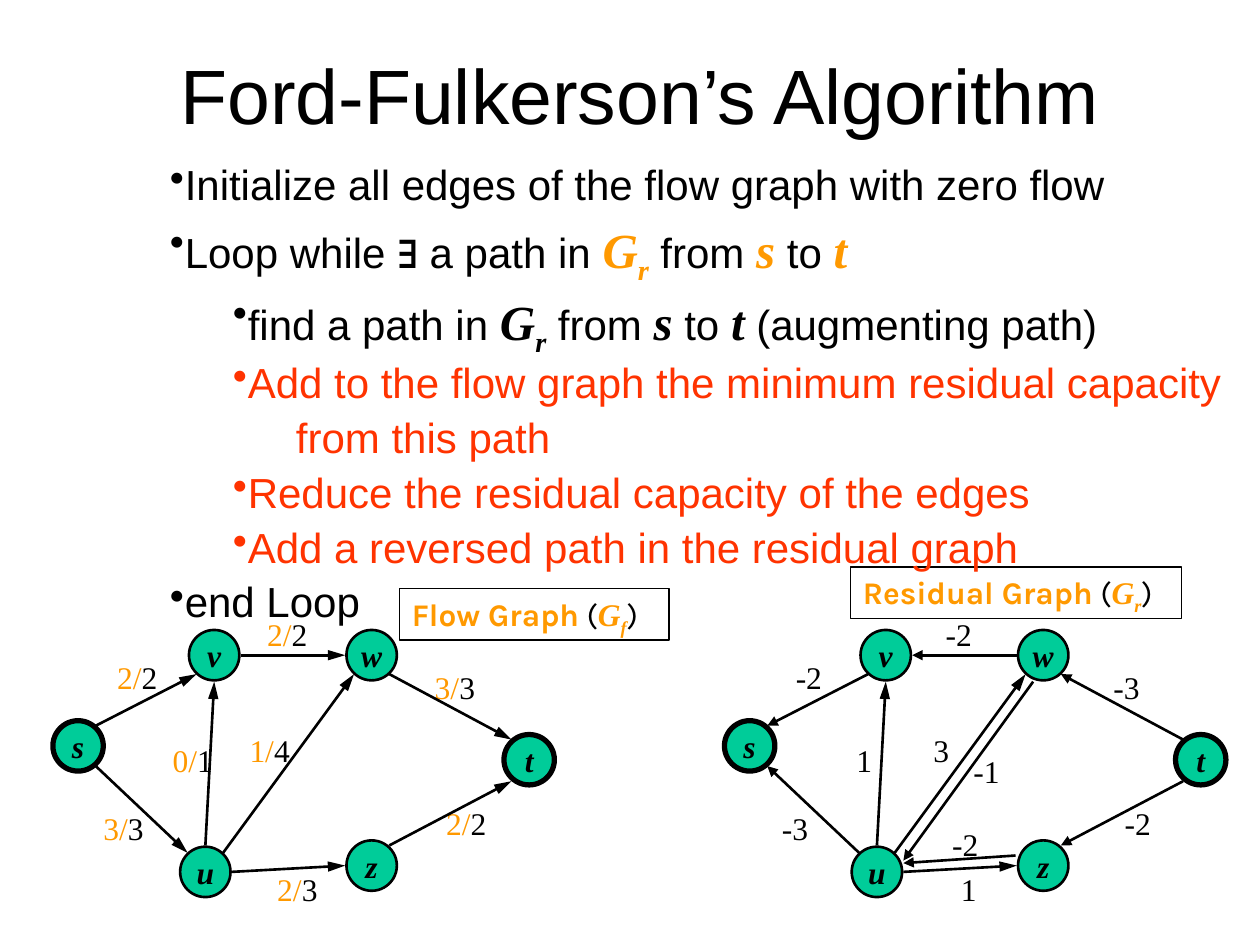
from dataclasses import dataclass, replace
from typing import NamedTuple

from lxml import etree
from pptx import Presentation
from pptx.dml.color import RGBColor
from pptx.enum.shapes import MSO_CONNECTOR, MSO_SHAPE
from pptx.enum.text import MSO_ANCHOR, PP_ALIGN
from pptx.oxml.ns import qn
from pptx.util import Inches, Pt


@dataclass(frozen=True)
class Theme:
    black: str = "000000"
    orange: str = "FF9900"
    red: str = "FF3300"
    node_fill: str = "00CC99"
    sans: str = "Arial"
    serif: str = "Times New Roman"
    caption: str = "Karla"
    title_size: int = 44
    body_size: int = 24
    symbol_size: int = 28
    graph_size: int = 18


THEME = Theme()


@dataclass(frozen=True)
class Style:
    font: str
    size: int
    color: str = THEME.black
    bold: bool = False
    italic: bool = False
    subscript: bool = False


class Piece(NamedTuple):
    text: str
    style: Style


class Line(NamedTuple):
    pieces: list[Piece]
    level: int = 0
    bullet: bool = True
    space: float = 5.5


class Node(NamedTuple):
    name: str
    x: float
    y: float
    terminal: bool = False


class Edge(NamedTuple):
    start: tuple[float, float]
    end: tuple[float, float]
    label_center: float
    label_top: float
    flow: str
    capacity: str
    residual: str
    reversed_residual: bool


TITLE = Style(THEME.sans, THEME.title_size)
BODY = Style(THEME.sans, THEME.body_size)
STEP = replace(BODY, color=THEME.red)
SYMBOL = Style(THEME.serif, THEME.symbol_size, bold=True, italic=True)
MARKED = replace(SYMBOL, color=THEME.orange)
LABEL = Style(THEME.serif, THEME.graph_size)
FLOW = replace(LABEL, color=THEME.orange)
NODE = replace(LABEL, bold=True, italic=True)
CAPTION = Style(THEME.caption, THEME.graph_size)
CAPTION_NAME = replace(CAPTION, color=THEME.orange, bold=True)
CAPTION_SYMBOL = replace(NODE, color=THEME.orange)

NODE_SIZE = 0.4
LABEL_WIDTHS = {1: 0.33, 2: 0.41, 3: 0.52}
RESIDUAL_OFFSET = 5.33

NODES = [
    Node("w", 2.75, 5), Node("s", 0.42, 5.72, True), Node("v", 1.5, 5),
    Node("u", 1.43, 6.72), Node("t", 4, 5.83, True), Node("z", 2.75, 6.67),
]

EDGES = [
    Edge((0.76, 5.76), (1.56, 5.35), 1.09, 5.17, "2", "2", "-2", True),
    Edge((0.76, 6.08), (1.49, 6.77), 0.98, 6.37, "3", "3", "-3", True),
    Edge((1.91, 5.2), (2.74, 5.2), 2.28, 4.83, "2", "2", "-2", True),
    Edge((3.09, 5.35), (4.06, 5.87), 3.61, 5.25, "3", "3", "-3", True),
    Edge((3.09, 6.71), (4.06, 6.2), 3.7, 6.33, "2", "2", "-2", True),
    Edge((1.84, 6.92), (2.74, 6.87), 2.36, 6.86, "2", "3", "1", False),
    Edge((1.77, 6.77), (2.81, 5.35), 2.14, 5.75, "1", "4", "3", False),
    Edge((1.63, 6.71), (1.7, 5.41), 1.53, 5.83, "0", "1", "1", False),
]


def symbol_with_subscript(letter: str, index: str, style: Style) -> list[Piece]:
    return [Piece(letter, style), Piece(index, replace(style, subscript=True))]


def path_text(opening: str, closing: str, style: Style) -> list[Piece]:
    return [Piece(opening, BODY), *symbol_with_subscript("G", "r", style),
            Piece(" from ", BODY), Piece("s", style), Piece(" to ", BODY),
            Piece("t", style), Piece(closing, BODY)]


BODY_LINES = [
    Line([Piece("Initialize all edges of the flow graph with zero flow", BODY)], space=0),
    Line([Piece("Loop while ", BODY),
          Piece("∃", replace(BODY, size=THEME.symbol_size, bold=True)),
          *path_text(" a path in ", "", MARKED)], space=6.5),
    Line(path_text("find a path in ", " (augmenting path)", SYMBOL), 1, space=6.5),
    Line([Piece("Add to the flow graph the minimum residual capacity", STEP)], 1),
    Line([Piece("from this path", STEP)], 2, bullet=False),
    Line([Piece("Reduce the residual capacity of the edges", STEP)], 1),
    Line([Piece("Add a reversed path in the residual graph", STEP)], 1),
    Line([Piece("end Loop", BODY)]),
]


def set_font(font, style: Style) -> None:
    font.name, font.size = style.font, Pt(style.size)
    font.bold, font.italic = style.bold, style.italic
    font.color.rgb = RGBColor.from_string(style.color)


def write(paragraph, pieces: list[Piece]) -> None:
    shared = len({piece.style for piece in pieces}) == 1
    if shared:
        set_font(paragraph.font, pieces[0].style)
    for piece in pieces:
        run = paragraph.add_run()
        run.text = piece.text
        if not shared:
            set_font(run.font, piece.style)
        if piece.style.subscript:
            run._r.get_or_add_rPr().set("baseline", "-25000")


def add_text(slide, left: float, top: float, width: float, height: float,
             pieces: list[Piece], align=PP_ALIGN.CENTER):
    shape = slide.shapes.add_textbox(Inches(left), Inches(top), Inches(width), Inches(height))
    shape.text_frame.word_wrap = False
    paragraph = shape.text_frame.paragraphs[0]
    paragraph.alignment = align
    write(paragraph, pieces)
    return shape


def add_body(slide) -> None:
    shape = slide.shapes.add_textbox(Inches(1.25), Inches(1.25), Inches(8.55), Inches(3.68))
    frame = shape.text_frame
    frame.word_wrap = False
    for index, line in enumerate(BODY_LINES):
        paragraph = frame.add_paragraph() if index else frame.paragraphs[0]
        paragraph.level = line.level
        paragraph.line_spacing = 0.9
        paragraph.space_before = Pt(line.space)
        properties = paragraph._p.get_or_add_pPr()
        properties.set("marL", str(Inches(0.5 * line.level)))
        properties.set("indent", "0")
        if line.bullet:
            etree.SubElement(properties, qn("a:buChar"), char="•")
        else:
            etree.SubElement(properties, qn("a:buNone"))
        write(paragraph, line.pieces)


def add_caption(slide, left: float, top: float, width: float, name: str, index: str) -> None:
    pieces = [Piece(name, CAPTION_NAME), Piece(" (", CAPTION),
              *symbol_with_subscript("G", index, CAPTION_SYMBOL), Piece(")", CAPTION)]
    shape = add_text(slide, left, top, width, 0.41, pieces, PP_ALIGN.LEFT)
    shape.line.color.rgb = RGBColor.from_string(THEME.black)
    shape.line.width = Pt(0.75)


def add_node(slide, node: Node, offset: float) -> None:
    shape = slide.shapes.add_shape(MSO_SHAPE.OVAL, Inches(node.x + offset), Inches(node.y),
                                   Inches(NODE_SIZE), Inches(NODE_SIZE))
    shape.shadow.inherit = False
    shape.fill.solid()
    shape.fill.fore_color.rgb = RGBColor.from_string(THEME.node_fill)
    shape.line.color.rgb = RGBColor.from_string(THEME.black)
    shape.line.width = Pt(3 if node.terminal else 1.5)
    frame = shape.text_frame
    frame.word_wrap = False
    frame.vertical_anchor = MSO_ANCHOR.MIDDLE
    frame.paragraphs[0].alignment = PP_ALIGN.CENTER
    write(frame.paragraphs[0], [Piece(node.name, NODE)])


def add_label(slide, center: float, top: float, pieces: list[Piece]) -> None:
    width = LABEL_WIDTHS[sum(len(piece.text) for piece in pieces)]
    add_text(slide, center - width / 2, top, width, 0.4, pieces)


def add_arrow(slide, start: tuple[float, float], end: tuple[float, float],
              offset: float, backward: bool) -> None:
    connector = slide.shapes.add_connector(
        MSO_CONNECTOR.STRAIGHT, Inches(start[0] + offset), Inches(start[1]),
        Inches(end[0] + offset), Inches(end[1]))
    connector.line.color.rgb = RGBColor.from_string(THEME.black)
    connector.line.width = Pt(1.5)
    tag, length = ("a:headEnd", "med") if backward else ("a:tailEnd", "lg")
    etree.SubElement(connector.line._get_or_add_ln(), qn(tag), type="triangle", w="med", len=length)
    etree.SubElement(connector._element.spPr, qn("a:effectLst"))


def add_graph(slide, offset: float, residual: bool) -> None:
    for node in NODES:
        add_node(slide, node, offset)
    for edge in EDGES:
        pieces = ([Piece(edge.residual, LABEL)] if residual
                  else [Piece(edge.flow + "/", FLOW), Piece(edge.capacity, LABEL)])
        add_label(slide, edge.label_center + offset, edge.label_top, pieces)
        add_arrow(slide, edge.start, edge.end, offset, residual and edge.reversed_residual)


def main() -> None:
    presentation = Presentation()
    presentation.slide_width, presentation.slide_height = Inches(10), Inches(7.5)
    slide = presentation.slides.add_slide(presentation.slide_layouts[6])

    # Title, captions and algorithm steps
    title = add_text(slide, 0.83, 0.12, 8.5, 1.25, [Piece("Ford-Fulkerson’s Algorithm", TITLE)])
    title.text_frame.vertical_anchor = MSO_ANCHOR.MIDDLE
    add_caption(slide, 6.75, 4.5, 2.63, "Residual Graph", "r")
    add_caption(slide, 3.17, 4.67, 2.14, "Flow Graph", "f")
    add_body(slide)

    # Flow graph and residual graph
    add_graph(slide, 0, residual=False)
    add_graph(slide, RESIDUAL_OFFSET, residual=True)

    # Reversed edges beside the remaining capacities
    add_arrow(slide, (7.17, 6.83), (8.2, 5.41), 0, backward=True)
    add_label(slide, 7.83, 5.92, [Piece("-1", LABEL)])
    add_arrow(slide, (7.17, 6.85), (8.06, 6.79), 0, backward=True)
    add_label(slide, 7.66, 6.5, [Piece("-2", LABEL)])

    presentation.save("out.pptx")


if __name__ == "__main__":
    main()
